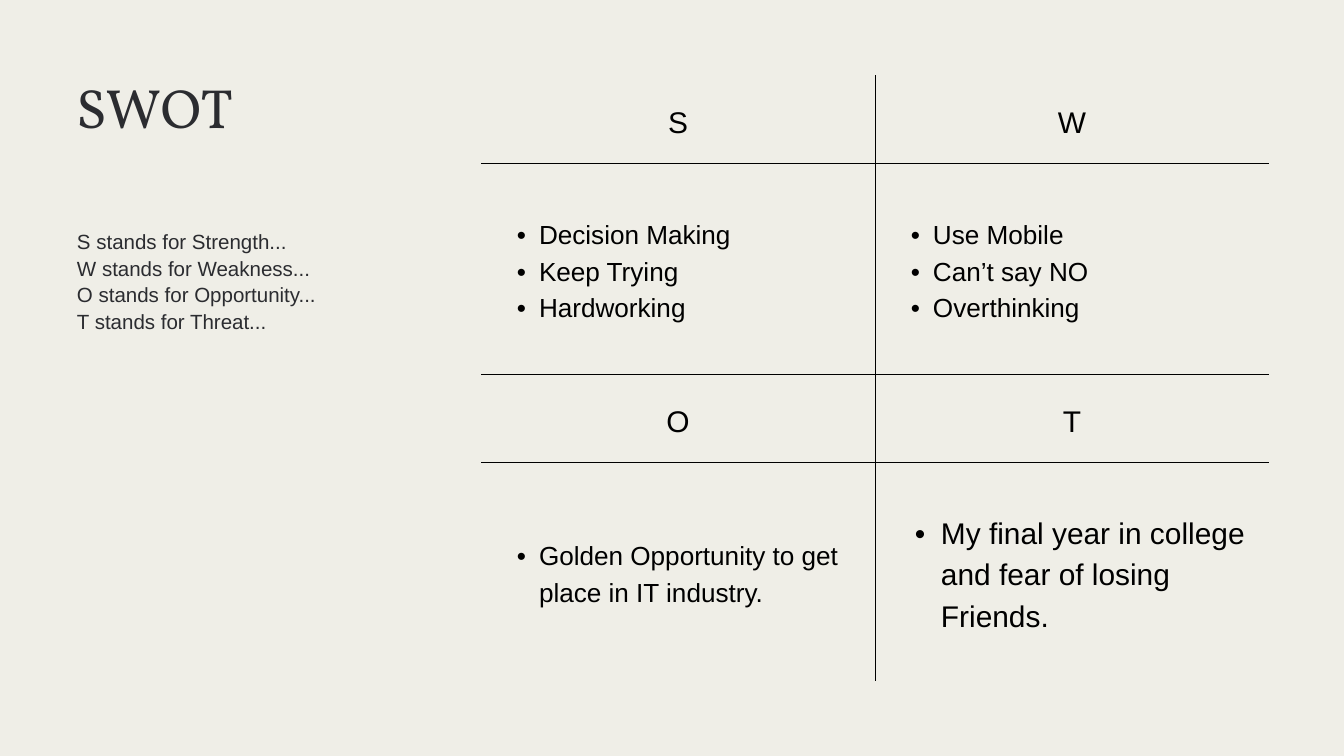
from lxml.etree import SubElement
from pptx import Presentation
from pptx.dml.color import RGBColor
from pptx.enum.text import MSO_ANCHOR as Anchor, MSO_AUTO_SIZE as AutoSize, PP_ALIGN as Align
from pptx.oxml.ns import qn
from pptx.util import Emu, Pt

INK, LINE, PAPER = "2B2C30", "000000", "EFEEE7"
COLUMN_WIDTHS = [394, 394]
ROW_HEIGHTS = [88, 211, 88, 219]
CELL_INSET = 14
QUADRANTS = [
    ("S", ["Decision Making", "Keep Trying", "Hardworking"], 28, 22),
    ("W", ["Use Mobile", "Can’t say NO", "Overthinking"], 28, 22),
    ("O", ["Golden Opportunity to get place in IT industry."], 28, 22),
    ("T", ["My final year in college and fear of losing Friends."], 32, 26),
]


def px(length):
    return Emu(round(length * 914400 / 67.2))


def rgb(code):
    return RGBColor.from_string(code)


def write(frame, lines, size, spacing, font="Arial", color=LINE):
    frame.text = "\n".join(lines)
    for para in frame.paragraphs:
        para.line_spacing = Pt(spacing)
        for span in para.runs:
            span.font.name = font
            span.font.size = Pt(size)
            span.font.color.rgb = rgb(color)


def add_text(page, box, lines, size, spacing, font):
    shape = page.shapes.add_textbox(*map(px, box))
    frame = shape.text_frame
    frame.word_wrap = True
    frame.auto_size = AutoSize.SHAPE_TO_FIT_TEXT
    frame.margin_left = frame.margin_top = frame.margin_right = frame.margin_bottom = 0
    write(frame, lines, size, spacing, font, INK)
    return frame


def add_intro(page, left, top, width):
    title = add_text(page, (left, top, width, 57), ["SWOT"], 59.2, 59.2, "Vollkorn")
    title.paragraphs[0].runs[0].font._element.set("spc", "30")
    legend = [f"{word[0]} stands for {word}..."
              for word in ("Strength", "Weakness", "Opportunity", "Threat")]
    add_text(page, (left + 1, top + 143, width, 106), legend, 22, 28.6, "Arial")


def set_borders(cell, row, column):
    inner = {
        "a:lnL": column > 0,
        "a:lnR": column < len(COLUMN_WIDTHS) - 1,
        "a:lnT": row > 0,
        "a:lnB": row < len(ROW_HEIGHTS) - 1,
    }
    properties = cell._tc.get_or_add_tcPr()
    for tag, visible in inner.items():
        border = SubElement(properties, qn(tag), w=str(Pt(0.75) if visible else 0))
        if visible:
            fill = SubElement(border, qn("a:solidFill"))
            SubElement(fill, qn("a:srgbClr"), val=LINE)
        else:
            SubElement(border, qn("a:noFill"))


def add_bullets(frame, hang):
    for para in frame.paragraphs:
        para.level = 1
        properties = para._p.get_or_add_pPr()
        properties.set("marL", str(px(2 * hang)))
        properties.set("indent", str(px(-hang)))
        SubElement(properties, qn("a:buFont"), typeface="Arial")
        SubElement(properties, qn("a:buChar"), char="•")


def add_matrix(page, left, top):
    box = (left, top, sum(COLUMN_WIDTHS), sum(ROW_HEIGHTS))
    table = page.shapes.add_table(len(ROW_HEIGHTS), len(COLUMN_WIDTHS), *map(px, box)).table
    table.first_row = table.horz_banding = False
    for column, width in zip(table.columns, COLUMN_WIDTHS):
        column.width = px(width)
    for row, height in zip(table.rows, ROW_HEIGHTS):
        row.height = px(height)

    for index, (letter, points, size, hang) in enumerate(QUADRANTS):
        pair, column = divmod(index, 2)
        heading, body = table.cell(2 * pair, column), table.cell(2 * pair + 1, column)
        for row, cell in enumerate((heading, body), 2 * pair):
            set_borders(cell, row, column)
            cell.fill.background()
            cell.vertical_anchor = Anchor.MIDDLE
            cell.margin_left = cell.margin_right = px(CELL_INSET)
            cell.margin_top = cell.margin_bottom = px(CELL_INSET)
        write(heading.text_frame, [letter], 32, 44.8)
        heading.text_frame.paragraphs[0].alignment = Align.CENTER
        write(body.text_frame, points, size, size * 1.4)
        add_bullets(body.text_frame, hang)


def main():
    deck = Presentation()
    deck.slide_width, deck.slide_height = px(1344), px(756)
    page = deck.slides.add_slide(deck.slide_layouts[6])
    page.background.fill.solid()
    page.background.fill.fore_color.rgb = rgb(PAPER)
    add_matrix(page, 481, 75)
    add_intro(page, 76, 84, 382)
    deck.save("out.pptx")


if __name__ == "__main__":
    main()
